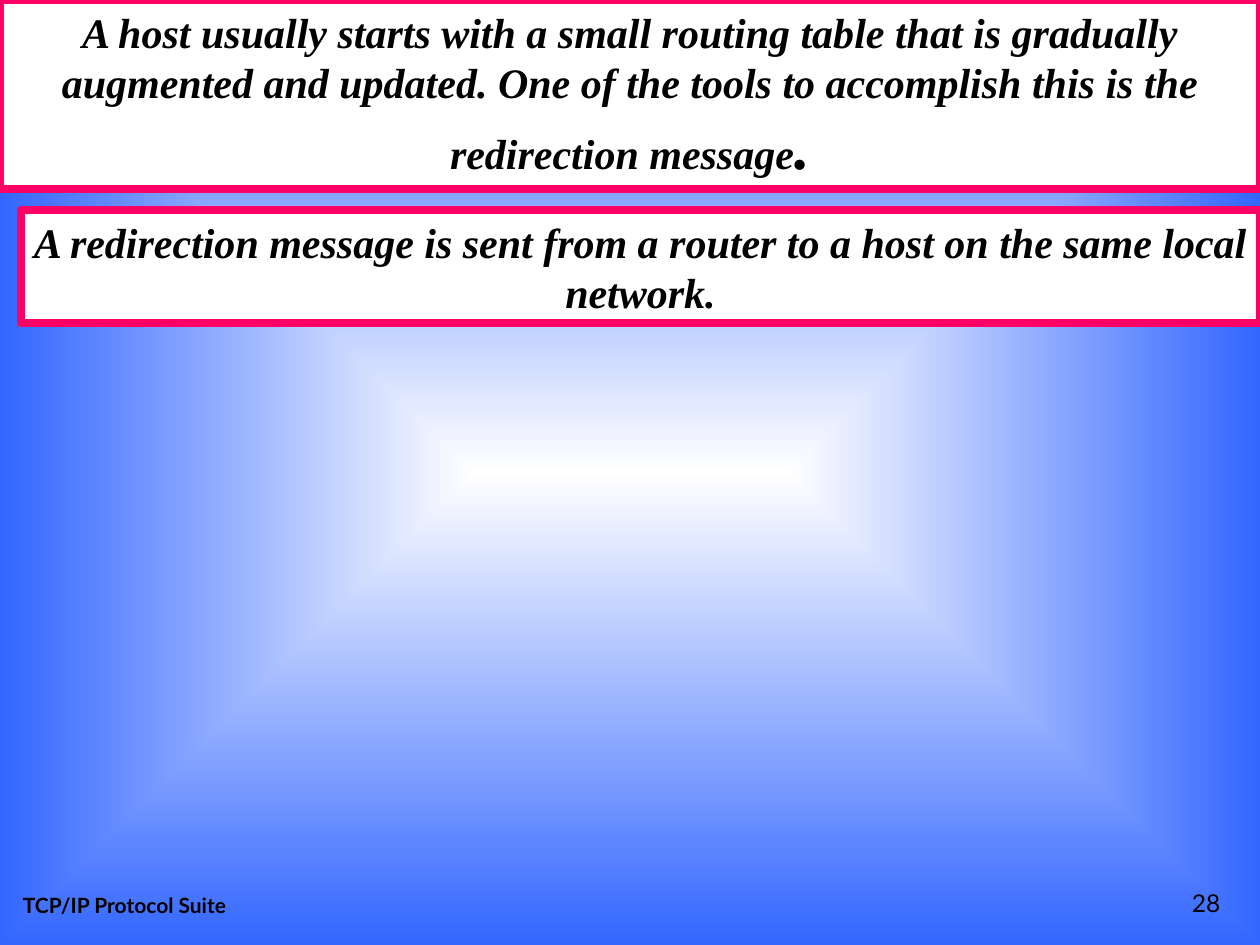
from lxml import etree
from pptx import Presentation
from pptx.dml.color import RGBColor
from pptx.enum.shapes import MSO_SHAPE
from pptx.enum.text import MSO_ANCHOR, MSO_AUTO_SIZE, PP_ALIGN
from pptx.oxml.ns import qn
from pptx.util import Inches, Pt

RECTANGLE = MSO_SHAPE.RECTANGLE
TOP, BOTTOM = MSO_ANCHOR.TOP, MSO_ANCHOR.BOTTOM
LEFT, CENTER, RIGHT = PP_ALIGN.LEFT, PP_ALIGN.CENTER, PP_ALIGN.RIGHT
GROW = MSO_AUTO_SIZE.SHAPE_TO_FIT_TEXT

COLORS = {"text": "000000", "panel": "FFFFFF", "border": "FF0066",
          "center": "FFFFFF", "edge": "3366FF"}
WIDTH, HEIGHT = Inches(10), Inches(7.5)
COLUMN, ROW = WIDTH / 120, HEIGHT / 90  # grid of 120 columns by 90 rows


def color(name):
    return RGBColor.from_string(COLORS[name])


def grid_box(left, top, width, height):
    return (round(left * COLUMN), round(top * ROW),
            round(width * COLUMN), round(height * ROW))


def paint_background(slide):
    """Rectangular gradient from the centre to the edges."""
    fill = slide.background.fill
    fill.gradient()
    for stop, position, name in zip(fill.gradient_stops, (0, 1), ("center", "edge")):
        stop.position = position
        stop.color.rgb = color(name)
    gradient = slide.background._cSld.find(".//" + qn("a:gradFill"))
    linear = gradient.find(qn("a:lin"))
    center_path = etree.Element(qn("a:path"), {"path": "rect"})
    etree.SubElement(center_path, qn("a:fillToRect"),
                     {side: "50000" for side in "ltrb"})
    gradient.replace(linear, center_path)


def style_font(font, name, size, bold=False, italic=False):
    font.name, font.size = name, Pt(size)
    font.bold, font.italic = bold, italic
    font.color.rgb = color("text")


def add_footer(slide, box, text, size, alignment, bold=False):
    frame = slide.shapes.add_textbox(*box).text_frame
    frame.word_wrap = True
    frame.vertical_anchor = BOTTOM
    paragraph = frame.paragraphs[0]
    paragraph.text = text
    paragraph.alignment = alignment
    style_font(paragraph.font, "Lato", size, bold)


def add_statement(slide, box, text, large_ending=""):
    """Bordered panel whose ending may be set larger."""
    shape = slide.shapes.add_shape(RECTANGLE, *box)
    shape.shadow.inherit = False
    shape.fill.solid()
    shape.fill.fore_color.rgb = color("panel")
    shape.line.color.rgb = color("border")
    shape.line.width = Pt(4.5)
    frame = shape.text_frame
    frame.word_wrap = True
    frame.auto_size = GROW
    frame.vertical_anchor = TOP
    paragraph = frame.paragraphs[0]
    paragraph.alignment = CENTER
    paragraph.space_after = Pt(10)
    style_font(paragraph.font, "Times New Roman", 24, bold=True, italic=True)
    paragraph.add_run().text = text
    if large_ending:
        ending = paragraph.add_run()
        ending.text = large_ending
        ending.font.size = Pt(36)


def main():
    presentation = Presentation()
    presentation.slide_width, presentation.slide_height = WIDTH, HEIGHT
    slide = presentation.slides.add_slide(presentation.slide_layouts[6])
    paint_background(slide)

    # Footer and slide number
    add_footer(slide, grid_box(1, 82, 38, 6), "TCP/IP Protocol Suite", 12, LEFT, bold=True)
    add_footer(slide, grid_box(92.4, 82, 25, 6), "28", 14, RIGHT)

    # Statements
    add_statement(slide, grid_box(0, 0, 120, 18),
                  "A host usually starts with a small routing table that is gradually "
                  "augmented and updated. One of the tools to accomplish this is the "
                  "redirection message", large_ending=".")
    add_statement(slide, grid_box(2, 20, 118, 10.8),
                  "A redirection message is sent from a router to a host on the "
                  "same local network.")

    presentation.save("out.pptx")


if __name__ == "__main__":
    main()
